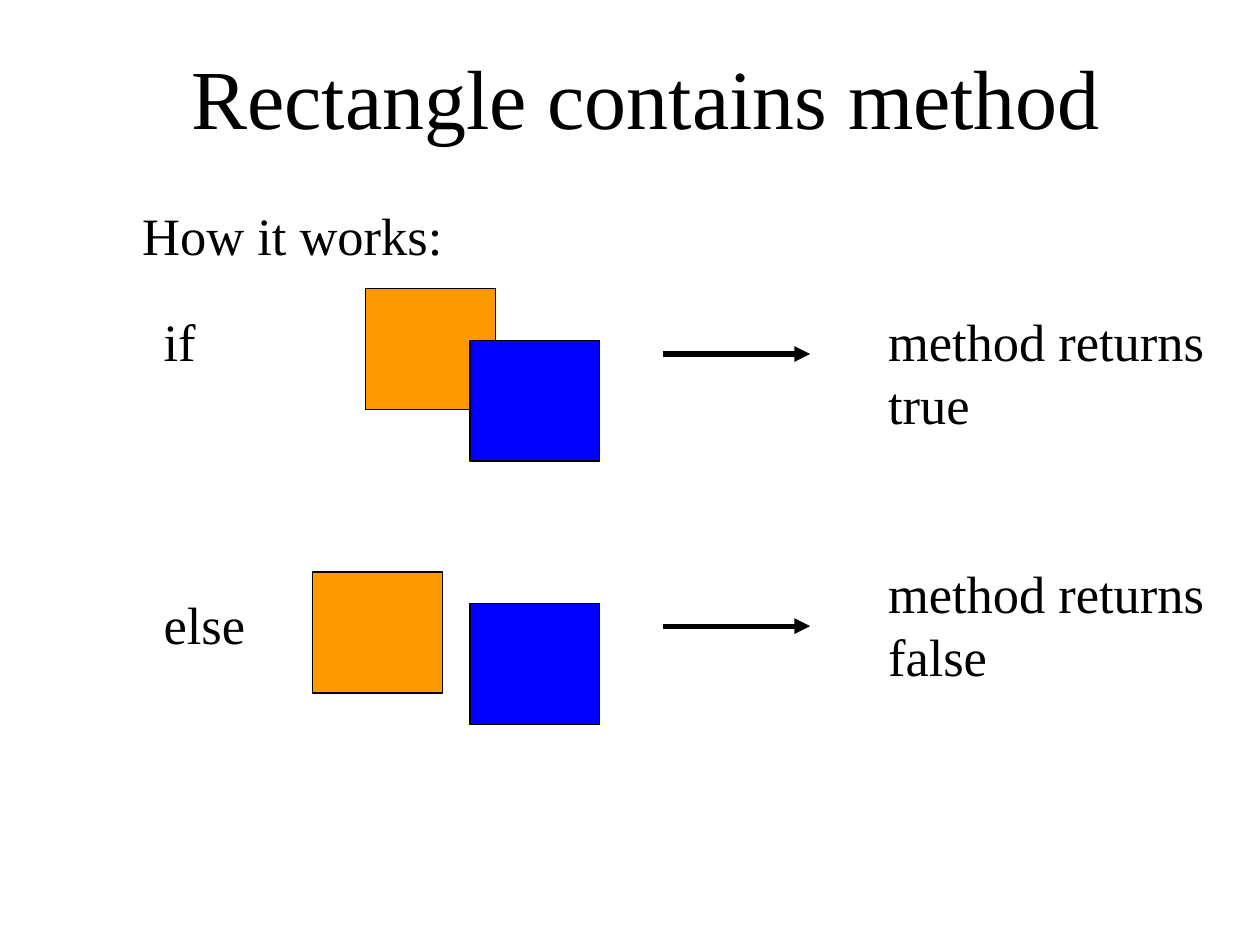
from lxml.etree import SubElement
from pptx import Presentation
from pptx.dml.color import RGBColor
from pptx.enum.shapes import MSO_CONNECTOR, MSO_SHAPE
from pptx.enum.text import MSO_ANCHOR, MSO_AUTO_SIZE, PP_ALIGN
from pptx.oxml.ns import qn
from pptx.util import Pt

THEME = {
    "font": "Times New Roman",
    "ink": RGBColor(0x00, 0x00, 0x00),
    "orange": RGBColor(0xFF, 0x99, 0x00),
    "blue": RGBColor(0x00, 0x00, 0xFF),
    "title_size": 48,
    "body_size": 30,
    "line_spacing": 1.2,
    "outline": 0.75,
    "arrow": 3,
}

TITLE = "Rectangle contains method"
INTRO = "How it works:"

# Each case: the two rectangles as (left, top), then the arrow's height
CASES = [
    {"condition": "if", "condition_top": 169.2, "condition_width": 55.4,
     "orange": (208.8, 164.9), "blue": (268.6, 194.4), "arrow_y": 202.3,
     "result": "method returns true", "result_top": 169.2},
    {"condition": "else", "condition_top": 331.2, "condition_width": 74.2,
     "orange": (178.6, 326.9), "blue": (268.6, 344.9), "arrow_y": 357.8,
     "result": "method returns false", "result_top": 313.2},
]

CONDITION_LEFT = 86.4
RESULT_LEFT = 500.4
ARROW_START, ARROW_END = 378.7, 463
RECTANGLE_SIZE = (74.2, 69.1)
TEXT_WIDTH, TEXT_HEIGHT = 208.8, 67.7
INSET = 7.2


def set_all(target, values):
    for name, value in values.items():
        setattr(target, name, value)


def write(shape, text, size):
    frame = shape.text_frame
    frame.text = text
    set_all(frame, {
        "word_wrap": True, "auto_size": MSO_AUTO_SIZE.NONE,
        "vertical_anchor": MSO_ANCHOR.TOP,
        "margin_left": Pt(INSET), "margin_right": Pt(INSET),
        "margin_top": Pt(INSET), "margin_bottom": Pt(INSET),
    })
    paragraph = frame.paragraphs[0]
    set_all(paragraph, {"alignment": PP_ALIGN.LEFT,
                        "line_spacing": Pt(size * THEME["line_spacing"])})
    font = paragraph.runs[0].font
    set_all(font, {"name": THEME["font"], "size": Pt(size)})
    font.color.rgb = THEME["ink"]


def add_label(slide, text, left, top, width=TEXT_WIDTH):
    label = slide.shapes.add_textbox(Pt(left), Pt(top), Pt(width), Pt(TEXT_HEIGHT))
    write(label, text, THEME["body_size"])


def draw_line(line, width):
    line.color.rgb = THEME["ink"]
    line.width = Pt(width)


def add_rectangle(slide, corner, color):
    rectangle = slide.shapes.add_shape(
        MSO_SHAPE.RECTANGLE, *map(Pt, corner + RECTANGLE_SIZE))
    rectangle.shadow.inherit = False
    rectangle.fill.solid()
    rectangle.fill.fore_color.rgb = color
    draw_line(rectangle.line, THEME["outline"])


def add_arrow(slide, y):
    arrow = slide.shapes.add_connector(
        MSO_CONNECTOR.STRAIGHT, Pt(ARROW_START), Pt(y), Pt(ARROW_END), Pt(y))
    draw_line(arrow.line, THEME["arrow"])
    SubElement(arrow.line._get_or_add_ln(), qn("a:tailEnd"), type="triangle")
    SubElement(arrow._element.spPr, qn("a:effectLst"))


def main():
    deck = Presentation()
    set_all(deck, {"slide_width": Pt(720), "slide_height": Pt(540)})
    slide = deck.slides.add_slide(deck.slide_layouts[5])

    title = slide.shapes.title
    set_all(title, {"left": Pt(102.2), "top": Pt(18.7),
                    "width": Pt(543.6), "height": Pt(TEXT_HEIGHT)})
    write(title, TITLE, THEME["title_size"])

    add_label(slide, INTRO, 74.2, 108.7)
    for case in CASES:
        add_label(slide, case["condition"], CONDITION_LEFT,
                  case["condition_top"], case["condition_width"])
        for color in ("orange", "blue"):
            add_rectangle(slide, case[color], THEME[color])
        add_arrow(slide, case["arrow_y"])
        add_label(slide, case["result"], RESULT_LEFT, case["result_top"])

    deck.save("out.pptx")


if __name__ == "__main__":
    main()
